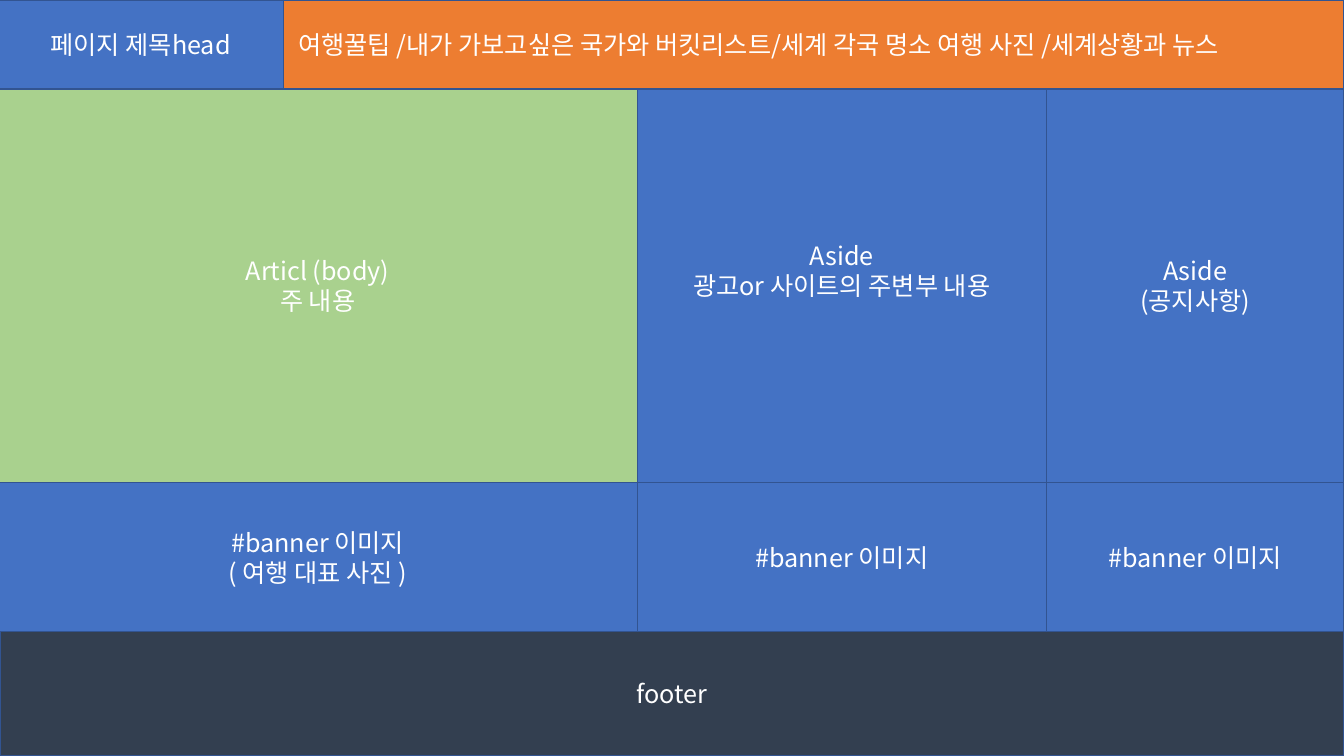
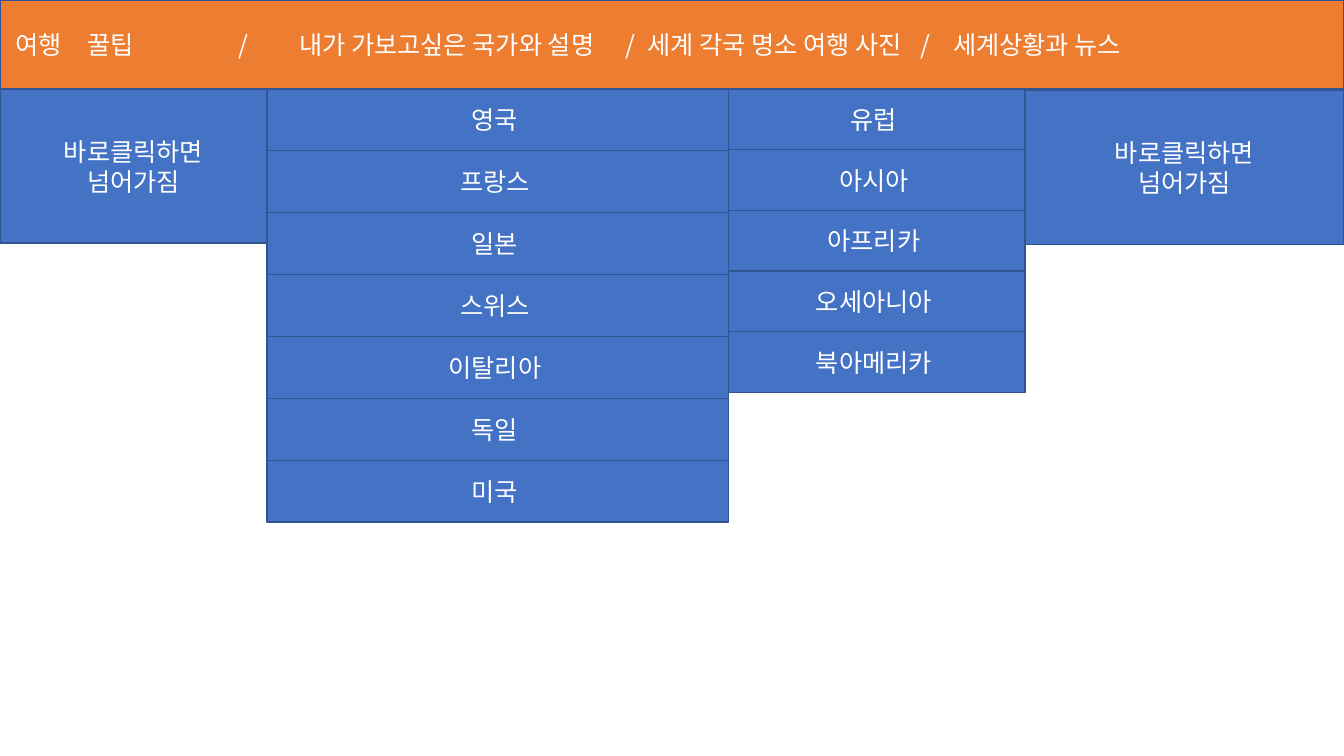
from lxml.etree import SubElement
from pptx import Presentation
from pptx.dml.color import RGBColor
from pptx.enum.shapes import MSO_SHAPE
from pptx.enum.text import MSO_ANCHOR, PP_ALIGN
from pptx.oxml.ns import qn
from pptx.util import Cm, Pt

BLUE = RGBColor(0x44, 0x72, 0xC4)
GREEN = RGBColor(0xA9, 0xD1, 0x8E)
ORANGE = RGBColor(0xED, 0x7D, 0x31)
SLATE = RGBColor(0x33, 0x3F, 0x50)
OUTLINE = RGBColor(0x32, 0x54, 0x91)
WHITE = RGBColor(0xFF, 0xFF, 0xFF)

FONT = "Noto Sans CJK KR"
BLANK_LAYOUT = 6
SLIDE_WIDTH, SLIDE_HEIGHT = 33.87, 19.05
HEADER_HEIGHT = 2.24
LINK_TEXT = "바로클릭하면\n넘어가짐"


def add_block(slide, text, left, top, width, height, fill=BLUE, align=PP_ALIGN.CENTER):
    shape = slide.shapes.add_shape(
        MSO_SHAPE.RECTANGLE, Cm(left), Cm(top), Cm(width), Cm(height)
    )
    shape.shadow.inherit = False
    shape.fill.solid()
    shape.fill.fore_color.rgb = fill
    shape.line.color.rgb = OUTLINE
    shape.line.width = Pt(1)
    text_frame = shape.text_frame
    text_frame.word_wrap = True
    text_frame.vertical_anchor = MSO_ANCHOR.MIDDLE
    text_frame.text = text
    for paragraph in text_frame.paragraphs:
        paragraph.alignment = align
        font = paragraph.font
        font.size = Pt(18)
        font.color.rgb = WHITE
        font.name = FONT
        properties = paragraph._p.get_or_add_pPr()
        SubElement(properties.find(qn("a:defRPr")), qn("a:ea"), typeface=FONT)
    return shape


def add_navigation(slide, text, left, tab_stops=()):
    shape = add_block(
        slide, text, left, 0, SLIDE_WIDTH - left, HEADER_HEIGHT, ORANGE, PP_ALIGN.LEFT
    )
    shape.text_frame.margin_left = Cm(0.38)
    if tab_stops:
        properties = shape.text_frame.paragraphs[0]._p.get_or_add_pPr()
        tab_list = SubElement(properties, qn("a:tabLst"))
        for position in tab_stops:
            SubElement(tab_list, qn("a:tab"), pos=str(Cm(position)), algn="l")
        properties.insert(0, tab_list)


def add_menu(slide, labels, left, width, pitch):
    for row, label in enumerate(labels):
        top = HEADER_HEIGHT + row * pitch
        add_block(slide, f"{label} ", left, top, width, pitch)


def build_page_layout(slide):
    body_height, banner_height = 9.92, 3.76
    banner_top = HEADER_HEIGHT + body_height
    footer_top = banner_top + banner_height
    edges = (-0.05, 16.06, 26.37, SLIDE_WIDTH)
    columns = (
        ("Articl (body)\n주 내용", "#banner 이미지\n( 여행 대표 사진 )", GREEN),
        ("Aside\n광고or 사이트의 주변부 내용", "#banner 이미지", BLUE),
        ("Aside\n(공지사항)", "#banner 이미지", BLUE),
    )

    add_block(slide, "페이지 제목head", edges[0], 0, 7.19, HEADER_HEIGHT)
    bodies = []
    for left, right, (body, banner, fill) in zip(edges, edges[1:], columns):
        width = right - left
        bodies.append(
            add_block(slide, body, left, HEADER_HEIGHT, width, body_height, fill)
        )
        add_block(slide, banner, left, banner_top, width, banner_height)
    bodies[1].text_frame.margin_bottom = Cm(0.89)
    add_block(
        slide, "footer", 0, footer_top, SLIDE_WIDTH, SLIDE_HEIGHT - footer_top, SLATE
    )
    add_navigation(
        slide,
        "여행꿀팁 /내가 가보고싶은 국가와 버킷리스트/세계 각국 명소 여행 사진 /세계상황과 뉴스",
        7.14,
    )


def build_menus(slide):
    add_navigation(
        slide,
        "여행\t꿀팁\t/\t내가 가보고싶은 국가와 설명\t/\t세계 각국 명소 여행 사진\t/\t세계상황과 뉴스",
        0,
        (1.82, 5.63, 7.16, 15.38, 15.94, 22.82, 23.64),
    )
    countries = ("영국", "프랑스", "일본", "스위스", "이탈리아", "독일", "미국")
    regions = ("유럽", "아시아", "아프리카", "오세아니아", "북아메리카")
    add_block(slide, LINK_TEXT, 0, HEADER_HEIGHT, 6.73, 3.89)
    add_menu(slide, countries, 6.73, 11.63, 1.56)
    add_menu(slide, regions, 18.36, 7.47, 1.53)
    add_block(slide, LINK_TEXT, 25.83, 2.28, SLIDE_WIDTH - 25.83, 3.89)


def main():
    presentation = Presentation()
    presentation.slide_width = Cm(SLIDE_WIDTH)
    presentation.slide_height = Cm(SLIDE_HEIGHT)
    layout = presentation.slide_layouts[BLANK_LAYOUT]
    for build in (build_page_layout, build_menus):
        build(presentation.slides.add_slide(layout))
    presentation.save("out.pptx")


main()
